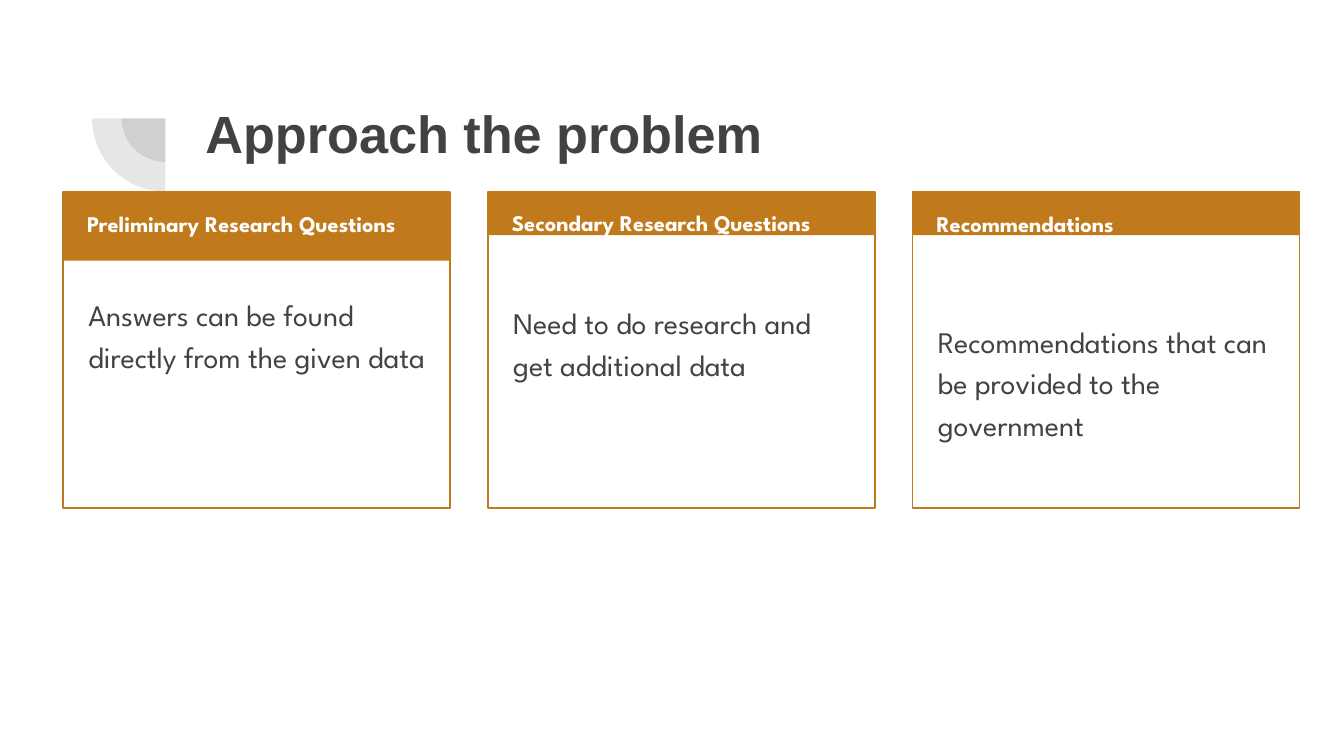
from lxml import etree
from pptx import Presentation
from pptx.dml.color import RGBColor
from pptx.enum.shapes import MSO_SHAPE
from pptx.oxml.ns import qn
from pptx.util import Inches, Pt

RECTANGLE = MSO_SHAPE.RECTANGLE
PIE = MSO_SHAPE.PIE
GRAY = RGBColor(0x42, 0x42, 0x42)
ORANGE = RGBColor(0xC0, 0x79, 0x1B)
WHITE = RGBColor(0xFF, 0xFF, 0xFF)
CARD_FONT = "League Spartan"

TITLE = "Approach the problem"
CARDS = [
    {"heading": "Preliminary Research Questions", "heading_height": 0.45, "band": 0.51,
     "body": "Answers can be found directly from the given data",
     "body_top": 2.07, "body_height": 1.19},
    {"heading": "Secondary Research Questions", "heading_height": 0.5, "band": 0.32,
     "body": "Need to do research and get additional data",
     "body_top": 2.13, "body_height": 1.09},
    {"heading": "Recommendations", "heading_height": 0.59, "band": 0.32,
     "body": "Recommendations that can be provided to the government",
     "body_top": 2.27, "body_height": 1.09},
]
CARD_LEFT, CARD_TOP = 0.47, 1.43
CARD_WIDTH, CARD_HEIGHT = 2.88, 2.35
CARD_STEP = 3.16
PIE_RIGHT, PIE_MIDDLE = 1.23, 0.88
PIE_SIZES = (0.65, 1.09)

deck = Presentation()
deck.slide_width = Inches(10)
deck.slide_height = deck.slide_width * 9 // 16
page = deck.slides.add_slide(deck.slide_layouts[6])


def add_text(text, left, top, width, height, size, color=GRAY,
             font=CARD_FONT, bold=False, spacing=1.15, after=0):
    box = page.shapes.add_textbox(Inches(left), Inches(top), Inches(width), Inches(height))
    frame = box.text_frame
    frame.word_wrap = True
    frame.margin_left = frame.margin_right = Inches(0.1)
    frame.margin_top = frame.margin_bottom = Inches(0.1)
    para = frame.paragraphs[0]
    para.line_spacing = spacing
    para.space_after = Pt(after)
    span = para.add_run()
    span.text = text
    span.font.name = font
    span.font.size = Pt(size)
    span.font.bold = bold
    span.font.color.rgb = color


def add_shape(kind, left, top, width, height, fill=None, line=None):
    shape = page.shapes.add_shape(kind, Inches(left), Inches(top), Inches(width), Inches(height))
    shape.shadow.inherit = False
    if fill is None:
        shape.fill.background()
    else:
        shape.fill.solid()
        shape.fill.fore_color.rgb = fill
    if line is None:
        shape.line.fill.background()
    else:
        shape.line.color.rgb = line
        shape.line.width = Pt(0.75)
    return shape


def add_quarter(size):
    quarter = add_shape(PIE, PIE_RIGHT - size / 2, PIE_MIDDLE - size / 2, size, size, fill=GRAY)
    quarter.rotation = 270
    quarter.adjustments[0] = 107.93
    quarter.adjustments[1] = 162
    color = quarter.element.spPr.find(qn("a:solidFill"))[0]
    etree.SubElement(color, qn("a:alpha"), val="13000")


def add_card(column, card):
    left = CARD_LEFT + column * CARD_STEP
    add_shape(RECTANGLE, left, CARD_TOP, CARD_WIDTH, card["band"], fill=ORANGE)
    add_shape(RECTANGLE, left, CARD_TOP, CARD_WIDTH, CARD_HEIGHT, line=ORANGE)
    add_text(card["heading"], left + 0.08, CARD_TOP, 2.73, card["heading_height"], 12,
             color=WHITE, bold=True)
    add_text(card["body"], left + 0.09, card["body_top"], 2.71, card["body_height"], 16,
             after=12)


for size in PIE_SIZES:
    add_quarter(size)
add_text(TITLE, 1.43, 0.65, 7.69, 1.09, 28, font="Arial", bold=True, spacing=1)
for column, card in enumerate(CARDS):
    add_card(column, card)

deck.save("out.pptx")
